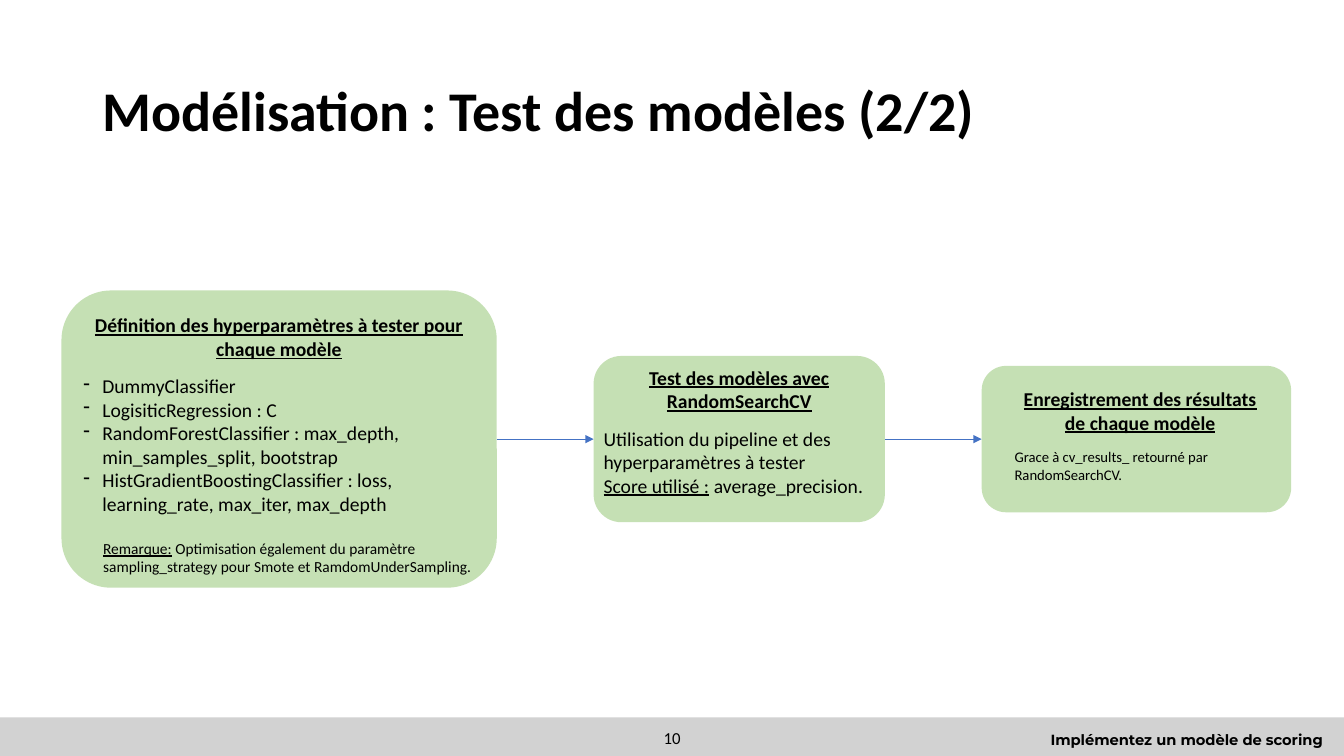
from pptx import Presentation
from pptx.dml.color import RGBColor
from pptx.enum.shapes import MSO_CONNECTOR as Connector, MSO_SHAPE as Shape
from pptx.enum.text import MSO_ANCHOR as Anchor, MSO_AUTO_SIZE as AutoSize, PP_ALIGN as Align
from pptx.oxml.ns import qn
from pptx.util import Cm, Pt
from lxml.etree import SubElement

COLORS = {"text": "000000", "step": "C5E0B4", "arrow": "4472C4", "footer": "D2D2D2"}
RIGHT_SIDE, LEFT_SIDE = 3, 1


class SlideBuilder:
    font = "Calibri"

    def __init__(self, slide):
        self.slide = slide

    def color(self, name):
        return RGBColor.from_string(COLORS[name])

    def style(self, paragraph, size, bold=False, underline=None, font=None, align=Align.LEFT):
        paragraph.alignment = align
        paragraph.font.name = font or self.font
        paragraph.font.size = Pt(size)
        paragraph.font.bold = bold
        paragraph.font.underline = underline
        paragraph.font.color.rgb = self.color("text")

    def title(self, text, box):
        title = self.slide.shapes.title
        title.left, title.top, title.width, title.height = map(Cm, box)
        frame = title.text_frame
        frame.text = text
        frame.auto_size = AutoSize.NONE
        frame.vertical_anchor = Anchor.MIDDLE
        self.style(frame.paragraphs[0], 40, bold=True)
        frame.paragraphs[0].line_spacing = 0.9

    def block(self, shapes, kind, box, fill):
        block = shapes.add_shape(kind, *map(Cm, box))
        block.shadow.inherit = False
        block.fill.solid()
        block.fill.fore_color.rgb = self.color(fill)
        block.line.fill.background()
        return block

    def text(self, shapes, box, anchor=Anchor.TOP):
        frame = shapes.add_textbox(*map(Cm, box)).text_frame
        frame.word_wrap = True
        frame.vertical_anchor = anchor
        return frame

    def label(self, text, box, size, anchor=Anchor.TOP, **style):
        frame = self.text(self.slide.shapes, box, anchor)
        frame.text = text
        self.style(frame.paragraphs[0], size, align=Align.CENTER, **style)

    def step(self, box, text_box, heading, lines):
        group = self.slide.shapes.add_group_shape()
        block = self.block(group.shapes, Shape.ROUNDED_RECTANGLE, box, "step")
        frame = self.text(group.shapes, text_box)
        frame.text = heading
        self.style(frame.paragraphs[0], 14, bold=True, underline=True, align=Align.CENTER)
        frame.paragraphs[0].space_after = Pt(9.8)
        for line in lines:
            self.line(frame.add_paragraph(), **line)
        return block

    def line(self, paragraph, text, lead="", size=14, bullet=False, indent=0, before=0):
        self.style(paragraph, size)
        paragraph.space_before = Pt(before)
        if lead:
            lead_run = paragraph.add_run()
            lead_run.text = lead
            lead_run.font.underline = True
        paragraph.add_run().text = text
        properties = paragraph._p.get_or_add_pPr()
        properties.set("marL", str(Cm(indent)))
        if bullet:
            properties.set("indent", str(-Cm(indent)))
            mark = properties.makeelement(qn("a:buChar"), {"char": "-"})
            properties.insert_element_before(mark, "a:tabLst", "a:defRPr", "a:extLst")

    def arrow(self, source, target):
        arrow = self.slide.shapes.add_connector(Connector.STRAIGHT, 0, 0, 0, 0)
        arrow.begin_connect(source, RIGHT_SIDE)
        arrow.end_connect(target, LEFT_SIDE)
        arrow.line.color.rgb = self.color("arrow")
        arrow.line.width = Pt(0.5)
        SubElement(arrow.line._get_or_add_ln(), qn("a:tailEnd"), type="triangle")
        SubElement(arrow._element.spPr, qn("a:effectLst"))


def main():
    deck = Presentation()
    deck.slide_width, deck.slide_height = Cm(33.87), Cm(19.05)
    page = SlideBuilder(deck.slides.add_slide(deck.slide_layouts[5]))

    page.block(page.slide.shapes, Shape.RECTANGLE, (0, 18.08, 33.87, 0.97), "footer")
    page.label("Implémentez un modèle de scoring", (25.95, 18.28, 7.92, 0.7), 10.5,
               bold=True, font="Montserrat")
    page.title("Modélisation : Test des modèles (2/2)", (2.33, 1.01, 29.21, 3.68))
    page.label("10", (13.13, 18.08, 7.62, 1.02), 12, anchor=Anchor.MIDDLE)

    models = [
        "DummyClassifier",
        "LogisiticRegression : C",
        "RandomForestClassifier : max_depth, min_samples_split, bootstrap",
        "HistGradientBoostingClassifier : loss, learning_rate, max_iter, max_depth",
    ]
    remark = dict(
        lead="Remarque:",
        text=" Optimisation également du paramètre sampling_strategy pour Smote et RamdomUnderSampling.",
        size=11, indent=0.5, before=17)
    definition = page.step(
        (1.55, 7.32, 10.97, 7.49), (1.85, 7.77, 10.36, 7.44),
        "Définition des hyperparamètres à tester pour chaque modèle",
        [dict(text=model, bullet=True, indent=0.48) for model in models] + [remark])
    search = page.step(
        (14.96, 8.97, 7.34, 4.19), (14.96, 9.09, 7.34, 4.19),
        "Test des modèles avec RandomSearchCV",
        [dict(text="Utilisation du pipeline et des hyperparamètres à tester"),
         dict(lead="Score utilisé :", text=" average_precision.")])
    results = page.step(
        (24.74, 9.22, 7.8, 3.69), (25.32, 9.63, 6.83, 2.69),
        "Enregistrement des résultats de chaque modèle",
        [dict(text="Grace à cv_results_ retourné par RandomSearchCV.", size=10.5)])

    page.arrow(definition, search)
    page.arrow(search, results)
    deck.save("out.pptx")


if __name__ == "__main__":
    main()
